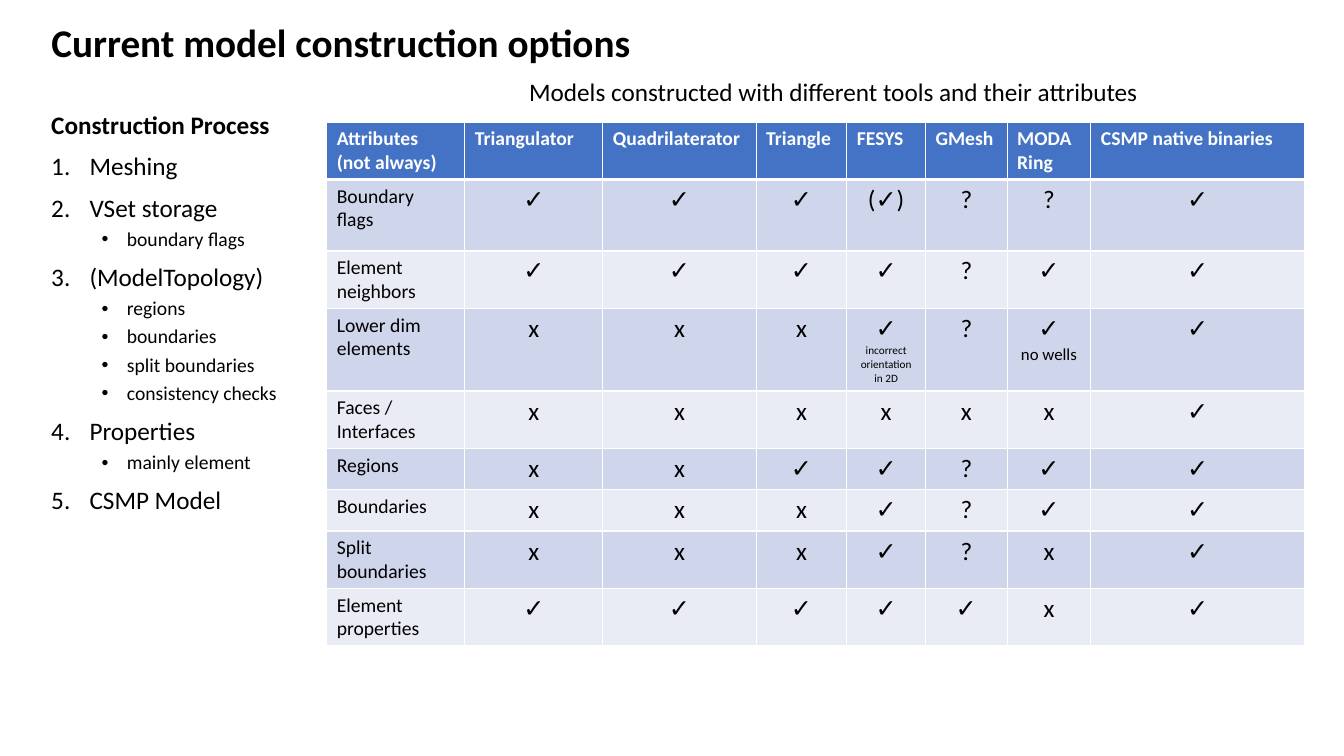
from lxml.etree import SubElement
from pptx import Presentation
from pptx.dml.color import RGBColor
from pptx.enum.text import MSO_ANCHOR as Anchor, MSO_AUTO_SIZE as AutoSize, PP_ALIGN as Align
from pptx.oxml.ns import qn
from pptx.util import Inches, Pt

BLACK = RGBColor(0x00, 0x00, 0x00)
WHITE = RGBColor(0xFF, 0xFF, 0xFF)
HEADER = RGBColor(0x44, 0x72, 0xC4)
BANDS = RGBColor(0xCF, 0xD5, 0xEA), RGBColor(0xE9, 0xEB, 0xF5)
FONT = "Calibri"

PROCESS = [
    ("Meshing", []),
    ("VSet storage", ["boundary flags"]),
    ("(ModelTopology)", ["regions", "boundaries", "split boundaries", "consistency checks"]),
    ("Properties", ["mainly element"]),
    ("CSMP Model", []),
]

COLUMNS = [
    ("Attributes (not always)", 1.37), ("Triangulator", 1.37), ("Quadrilaterator", 1.52),
    ("Triangle", 0.9), ("FESYS", 0.78), ("GMesh", 0.81), ("MODA Ring", 0.83),
    ("CSMP native binaries", 2.12),
]
HEADER_HEIGHT = 0.57
ATTRIBUTES = [
    ("Boundary flags", 0.71, "✓ ✓ ✓ (✓) ? ? ✓"),
    ("Element neighbors", 0.57, "✓ ✓ ✓ ✓ ? ✓ ✓"),
    ("Lower dim elements", 0.82, "x x x ✓ ? ✓ ✓"),
    ("Faces / Interfaces", 0.57, "x x x x x x ✓"),
    ("Regions", 0.41, "x x ✓ ✓ ? ✓ ✓"),
    ("Boundaries", 0.41, "x x x ✓ ? ✓ ✓"),
    ("Split boundaries", 0.57, "x x x ✓ ? x ✓"),
    ("Element properties", 0.57, "✓ ✓ ✓ ✓ ✓ x ✓"),
]
NOTES = {
    ("Lower dim elements", "FESYS"): ("incorrect orientation in 2D", 8),
    ("Lower dim elements", "MODA Ring"): ("no wells", 12),
}


def add_run(p, text, size, color=BLACK, bold=False):
    r = p.add_run()
    r.text = text
    r.font.name = FONT
    r.font.size = Pt(size)
    r.font.bold = bold
    r.font.color.rgb = color


def add_title(s, text):
    sp = s.shapes.title
    sp.left, sp.top, sp.width, sp.height = Inches(0.41), Inches(0.11), Inches(11.5), Inches(0.67)
    tf = sp.text_frame
    tf.auto_size = AutoSize.NONE
    tf.vertical_anchor = Anchor.MIDDLE
    p = tf.paragraphs[0]
    p.alignment = Align.LEFT
    p.line_spacing = 0.9
    add_run(p, text, 28, bold=True)


def add_caption(s, text):
    tf = s.shapes.add_textbox(Inches(5.15), Inches(0.71), Inches(6.32), Inches(0.4)).text_frame
    tf.word_wrap = False
    tf.auto_size = AutoSize.SHAPE_TO_FIT_TEXT
    add_run(tf.paragraphs[0], text, 18)


def set_marker(p, margin, hanging, tag, **attributes):
    """Give a paragraph a hanging bullet or number."""
    pPr = p._p.get_or_add_pPr()
    pPr.set("marL", str(Inches(margin)))
    pPr.set("indent", str(-Inches(hanging)))
    SubElement(pPr, qn("a:buFont"), typeface="Arial" if tag == "a:buChar" else "+mj-lt")
    SubElement(pPr, qn(tag), **attributes)


def add_list_item(tf, text, level):
    p = tf.add_paragraph()
    p.level = level
    if level == 0:
        set_marker(p, 0.38, 0.38, "a:buAutoNum", type="arabicPeriod")
    else:
        set_marker(p, 0.75, 0.25, "a:buChar", char="•")
    p.line_spacing = 0.9
    p.space_before = Pt(5 if level else 10)
    add_run(p, text, 14 if level else 18)


def add_process(s, heading, steps):
    tf = s.shapes.add_textbox(Inches(0.41), Inches(1.07), Inches(2.82), Inches(2.93)).text_frame
    tf.word_wrap = True
    p = tf.paragraphs[0]
    p.line_spacing = 0.9
    add_run(p, heading, 18, bold=True)
    for step, details in steps:
        add_list_item(tf, step, 0)
        for detail in details:
            add_list_item(tf, detail, 1)


def style_cell(cell, fill, top=1, bottom=1):
    """Draw white borders, widths in points, and fill the cell."""
    tcPr = cell._tc.get_or_add_tcPr()
    for side, width in (("L", 1), ("R", 1), ("T", top), ("B", bottom)):
        ln = SubElement(tcPr, qn(f"a:ln{side}"), w=str(Pt(width)))
        solid = SubElement(ln, qn("a:solidFill"))
        SubElement(solid, qn("a:srgbClr"), val=str(WHITE))
    cell.fill.solid()
    cell.fill.fore_color.rgb = fill


def add_mark(cell, mark, note):
    tf = cell.text_frame
    p = tf.paragraphs[0]
    p.alignment = Align.CENTER
    add_run(p, mark, 18)
    if note:
        text, size = note
        p = tf.add_paragraph()
        p.alignment = Align.CENTER
        add_run(p, text, size)


def add_attribute_table(s):
    heights = [HEADER_HEIGHT] + [height for _, height, _ in ATTRIBUTES]
    widths = [width for _, width in COLUMNS]
    table = s.shapes.add_table(len(heights), len(widths), Inches(3.24), Inches(1.21),
                               Inches(sum(widths)), Inches(sum(heights))).table
    for row, height in zip(table.rows, heights):
        row.height = Inches(height)
    for c, (tool, width) in enumerate(COLUMNS):
        table.columns[c].width = Inches(width)
        cell = table.cell(0, c)
        style_cell(cell, HEADER, bottom=3)
        add_run(cell.text_frame.paragraphs[0], tool, 14, WHITE, True)
    for i, (attribute, _, marks) in enumerate(ATTRIBUTES):
        cells = list(table.rows[i + 1].cells)
        for cell in cells:
            style_cell(cell, BANDS[i % 2], top=1 if i else 3)
        add_run(cells[0].text_frame.paragraphs[0], attribute, 14)
        for cell, mark, (tool, _) in zip(cells[1:], marks.split(), COLUMNS[1:]):
            add_mark(cell, mark, NOTES.get((attribute, tool)))


def main():
    prs = Presentation()
    prs.slide_width, prs.slide_height = Inches(13.33), Inches(7.5)
    s = prs.slides.add_slide(prs.slide_layouts[5])
    add_title(s, "Current model construction options")
    add_process(s, "Construction Process", PROCESS)
    add_attribute_table(s)
    add_caption(s, "Models constructed with different tools and their attributes")
    prs.save("out.pptx")


if __name__ == "__main__":
    main()
